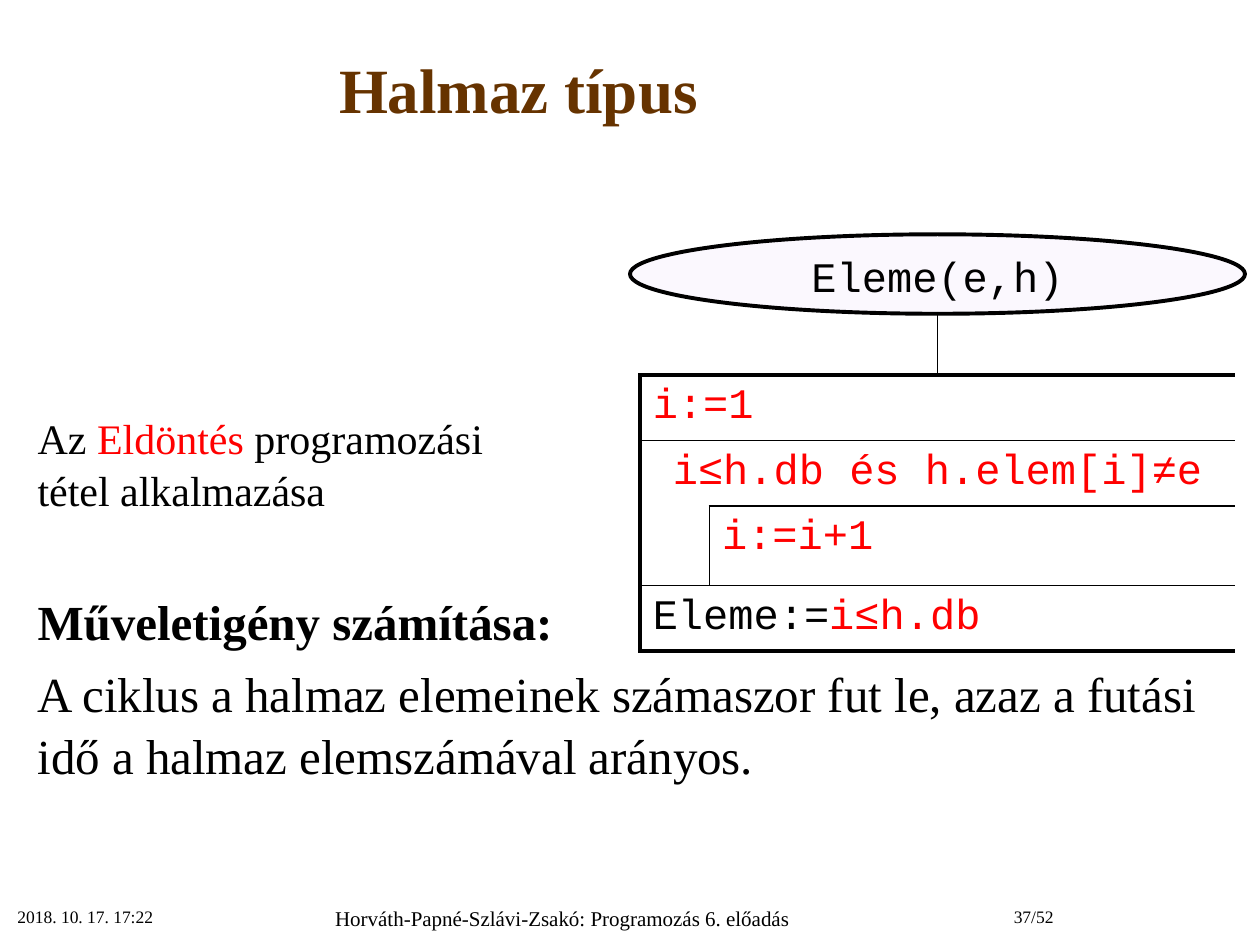
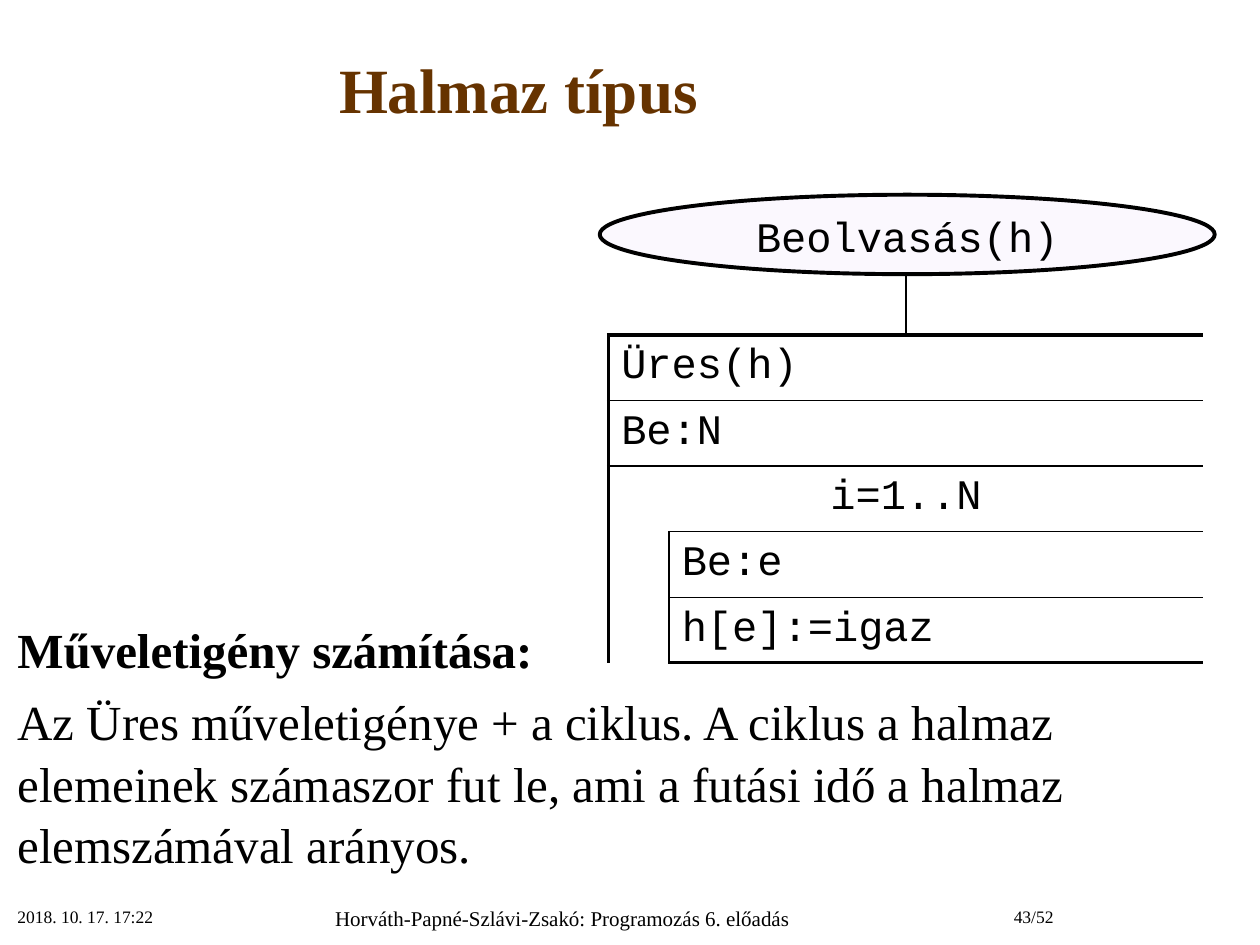
from lxml.etree import SubElement
from pptx import Presentation
from pptx.dml.color import RGBColor
from pptx.enum.shapes import MSO_SHAPE
from pptx.enum.text import MSO_ANCHOR as Anchor, PP_ALIGN as Align
from pptx.oxml.ns import qn
from pptx.util import Pt

# Shared style
SERIF, MONO = "Times New Roman", "Courier New"
BLACK, RED, BROWN, LILAC = "000000", "FF0000", "663300", "F3E8FE"
THICK, THIN = 2.25, 1
BODY_SIZE, LINE_SPACING, ROW_HEIGHT = 28, 1.05, 36


def colour(code):
    return RGBColor.from_string(code)


def write(para, text, size=24, font=SERIF, color=BLACK, bold=False,
          align=Align.LEFT, spacing=None, before=0):
    """Fill a paragraph; text is a string or a list of (string, colour)."""
    para.alignment = align
    para.space_before = Pt(before)
    if spacing:
        para.line_spacing = spacing
    parts = [(text, color)] if isinstance(text, str) else text
    for words, shade in parts:
        for index, line in enumerate(words.split("\n")):
            if index:
                para.add_line_break()
            span = para.add_run()
            span.text = line
            span.font.name, span.font.size = font, Pt(size)
            span.font.bold = bold
            span.font.color.rgb = colour(shade)


def add_text(page, left, top, width, height, text, anchor=Anchor.TOP, **style):
    box = page.shapes.add_textbox(Pt(left), Pt(top), Pt(width), Pt(height))
    frame = box.text_frame
    frame.word_wrap = True
    frame.vertical_anchor = anchor
    write(frame.paragraphs[0], text, **style)
    return frame


def add_cost(page, left, top, width, text):
    """Bold heading with the explanation of the running time below it."""
    frame = add_text(page, left, top, width, 110, "Műveletigény számítása:",
                     size=BODY_SIZE, bold=True, spacing=LINE_SPACING)
    write(frame.add_paragraph(), text, size=BODY_SIZE, spacing=LINE_SPACING,
          before=BODY_SIZE * 0.2)


def add_name_oval(page, left, top, name):
    oval = page.shapes.add_shape(MSO_SHAPE.OVAL, Pt(left), Pt(top),
                                 Pt(351.4), Pt(45.4))
    oval.shadow.inherit = False
    oval.fill.solid()
    oval.fill.fore_color.rgb = colour(LILAC)
    fill_color = oval.fill._xPr.find(qn("a:solidFill"))[0]
    SubElement(fill_color, qn("a:alpha"), val="30000")
    oval.line.color.rgb = colour(BLACK)
    oval.line.width = Pt(THICK)
    frame = oval.text_frame
    frame.word_wrap = False
    frame.vertical_anchor = Anchor.MIDDLE
    write(frame.paragraphs[0], name, font=MONO, align=Align.CENTER,
          spacing=LINE_SPACING)


def set_borders(cell, **widths):
    """Draw the named sides (L, R, T, B); hide the sides of zero width."""
    props = cell._tc.get_or_add_tcPr()
    for side in "LRTB":
        width = widths.get(side, 0)
        line = SubElement(props, qn("a:ln" + side), w=str(Pt(width)))
        if width:
            fill = SubElement(line, qn("a:solidFill"))
            SubElement(fill, qn("a:srgbClr"), val=BLACK)
        else:
            SubElement(line, qn("a:noFill"))
    cell.fill.background()


def add_structogram(page, left, top, columns, steps):
    """Steps are (first column, text, alignment, row height)."""
    heights = [ROW_HEIGHT] + [step[3] for step in steps]
    table = page.shapes.add_table(len(heights), len(columns), Pt(left), Pt(top),
                                  Pt(sum(columns)), Pt(sum(heights))).table
    table.first_row = table.horz_banding = False
    for column, width in zip(table.columns, columns):
        column.width = Pt(width)
    for row, height in zip(table.rows, heights):
        row.height = Pt(height)

    # Stem from the oval down to the first step
    last_col = len(columns) - 1
    for col in range(len(columns)):
        stem = {"L": THIN} if col == last_col else {}
        stem.update({"R": THIN} if col == last_col - 1 else {})
        set_borders(table.cell(0, col), B=THICK, **stem)
    table.cell(0, 0).merge(table.cell(0, last_col - 1))

    # Steps; an indented step belongs to the loop above it
    for row, (start, text, align, _) in enumerate(steps, 1):
        last = row == len(steps)
        next_start = 0 if last else steps[row][0]
        for col in range(len(columns)):
            inner = THIN if start == 1 else 0
            set_borders(
                table.cell(row, col),
                L=THICK if col == 0 else inner if col == 1 else 0,
                R=THICK if col == last_col else inner if col == 0 else 0,
                T=0 if col < start else THICK if row == 1 else THIN,
                B=THICK if last else THIN if col >= next_start else 0)
        table.cell(row, start).merge(table.cell(row, last_col))
        write(table.cell(row, start).text_frame.paragraphs[0], text,
              font=MONO, align=align, spacing=LINE_SPACING)

    # One margin cell beside all the steps of a loop
    body = [row for row, step in enumerate(steps, 1) if step[0]]
    if len(body) > 1:
        table.cell(body[0], 0).merge(table.cell(body[-1], 0))


def add_page(deck, number):
    page = deck.slides.add_slide(deck.slide_layouts[6])
    add_text(page, 0, 6.5, 592.5, 87.8, "Halmaz típus", anchor=Anchor.MIDDLE,
             size=36, color=BROWN, bold=True, align=Align.CENTER)
    add_text(page, 2.9, 514, 149.8, 28, "2018. 10. 17. 17:22", size=10)
    add_text(page, 152.6, 514, 337.7, 26,
             "Horváth-Papné-Szlávi-Zsakó: Programozás 6. előadás",
             size=12, align=Align.CENTER)
    add_text(page, 517.7, 514, 91.4, 28, f"{number}/52", size=10,
             align=Align.RIGHT)
    return page


def main():
    deck = Presentation()
    deck.slide_width, deck.slide_height = Pt(720), Pt(540)

    # Membership test
    page = add_page(deck, 37)
    add_text(page, 14.4, 230.5, 330, 65,
             [("Az ", BLACK), ("Eldöntés", RED),
              (" programozási\ntétel alkalmazása", BLACK)],
             spacing=LINE_SPACING)
    add_cost(page, 14.4, 333, 705.6,
             "A ciklus a halmaz elemeinek számaszor fut le, azaz a futási "
             "idő a halmaz elemszámával arányos.")
    add_structogram(page, 365.8, 178.2, [39.6, 130.3, 169.9], [
        (0, [("i:=1", RED)], Align.LEFT, ROW_HEIGHT),
        (0, [("i≤h.db és h.elem[i]≠e", RED)], Align.CENTER, ROW_HEIGHT),
        (1, [("i:=i+1", RED)], Align.LEFT, 45.4),
        (0, [("Eleme:=", BLACK), ("i≤h.db", RED)], Align.LEFT, ROW_HEIGHT),
    ])
    add_name_oval(page, 360, 133.9, "Eleme(e,h)")

    # Reading a set
    page = add_page(deck, 43)
    add_cost(page, 2.9, 349, 703.4,
             "Az Üres műveletigénye + a ciklus. A ciklus a halmaz elemeinek "
             "számaszor fut le, ami a futási idő a halmaz elemszámával arányos.")
    add_structogram(page, 347.8, 155.5, [34.6, 135.3, 169.9], [
        (0, "Üres(h)", Align.LEFT, ROW_HEIGHT),
        (0, "Be:N", Align.LEFT, ROW_HEIGHT),
        (0, "i=1..N", Align.CENTER, ROW_HEIGHT),
        (1, "Be:e", Align.LEFT, ROW_HEIGHT),
        (1, "h[e]:=igaz", Align.LEFT, ROW_HEIGHT),
    ])
    add_name_oval(page, 342.7, 111.3, "Beolvasás(h)")

    deck.save("out.pptx")


if __name__ == "__main__":
    main()
